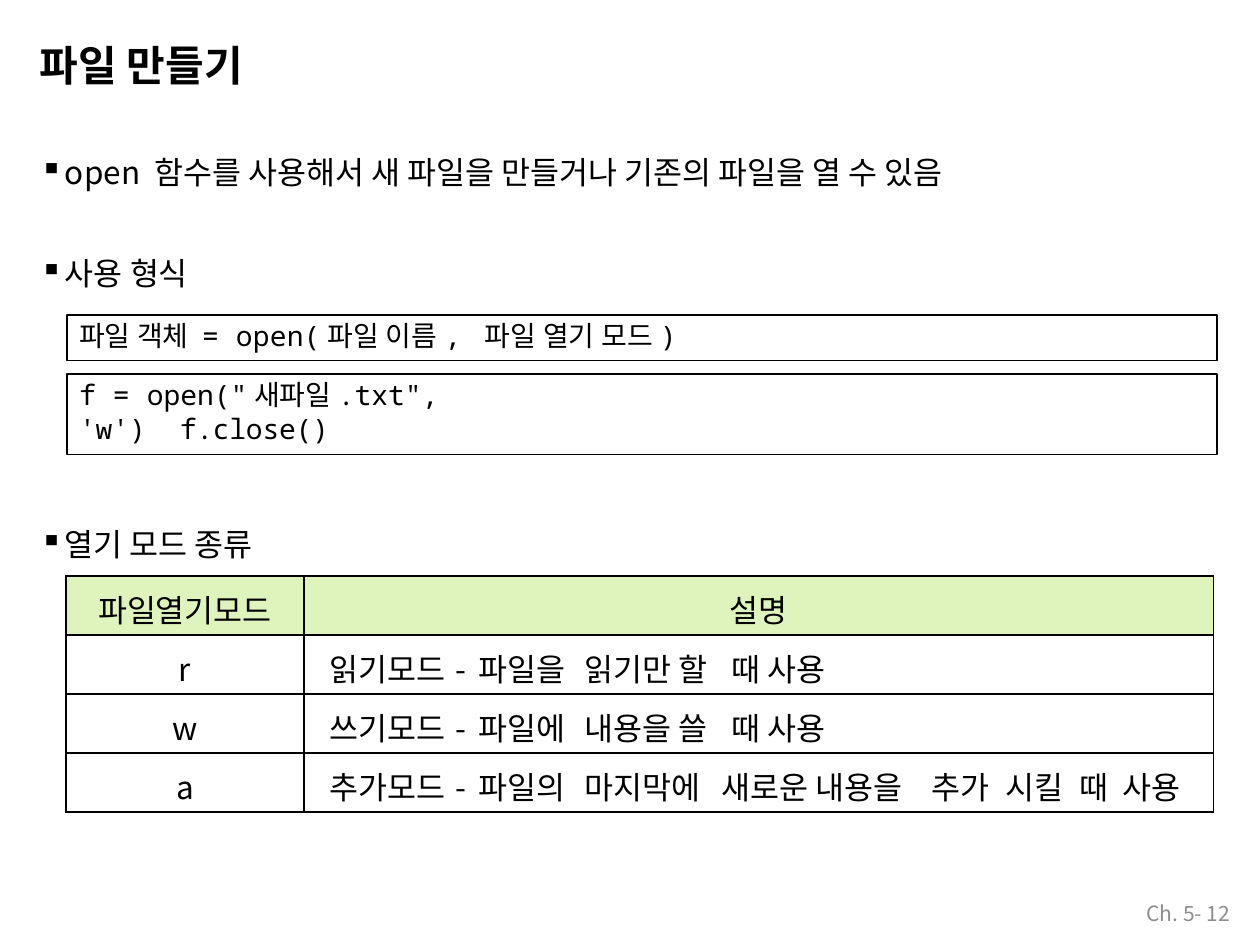
from dataclasses import dataclass

from lxml.etree import SubElement
from pptx import Presentation
from pptx.dml.color import RGBColor
from pptx.enum.shapes import MSO_SHAPE
from pptx.enum.text import MSO_ANCHOR, PP_ALIGN
from pptx.oxml.ns import qn
from pptx.util import Emu, Pt

EMU_PER_PX = 914400 / 126
SANS, MONO = "Noto Sans CJK KR", "Noto Sans Mono"
BLACK = RGBColor(0x00, 0x00, 0x00)
GRAY = RGBColor(0x8C, 0x8C, 0x8C)
WHITE = RGBColor(0xFF, 0xFF, 0xFF)
HEADER_GREEN = RGBColor(0xDF, 0xF4, 0xBD)


@dataclass(frozen=True)
class Box:
    left: int
    top: int
    width: int
    height: int


@dataclass(frozen=True)
class Run:
    text: str
    font: str = SANS
    spacing: float = 0


@dataclass(frozen=True)
class CodeLine:
    box: Box
    runs: list[Run]
    right_inset: int = 0


@dataclass(frozen=True)
class ModeRow:
    mode: str
    name: str
    words: list[str]


def px(length: int) -> Emu:
    return Emu(round(length * EMU_PER_PX))


def place(box: Box) -> tuple[Emu, Emu, Emu, Emu]:
    return px(box.left), px(box.top), px(box.width), px(box.height)


def write(frame, content: str | list[Run], *, size=18, color=BLACK, bold=False,
          align=PP_ALIGN.LEFT, before=0, indent=0, bullet="", new=False) -> None:
    """Write one paragraph; new adds it after those already in the frame."""
    paragraph = frame.add_paragraph() if new else frame.paragraphs[0]
    paragraph.alignment = align
    paragraph.space_before = Pt(before)
    properties = paragraph._p.get_or_add_pPr()
    properties.set("marL", str(px(indent)))
    properties.set("indent", str(-px(25) if bullet else 0))
    if bullet:
        SubElement(properties, qn("a:buChar")).set("char", bullet)
    for part in [Run(content)] if isinstance(content, str) else content:
        run = paragraph.add_run()
        run.text = part.text
        run.font.size, run.font.bold = Pt(size), bold
        run.font.name = part.font
        run.font.color.rgb = color
        run_properties = run.font._element
        SubElement(run_properties, qn("a:ea")).set("typeface", part.font)
        if part.spacing:
            run_properties.set("spc", str(round(part.spacing * 100)))


def set_insets(frame, top: int, right: int = 0) -> None:
    frame.margin_left = frame.margin_bottom = 0
    frame.margin_top, frame.margin_right = px(top), px(right)


def add_text_frame(slide, box: Box, top_inset: int = 1):
    frame = slide.shapes.add_textbox(*place(box)).text_frame
    frame.word_wrap = True
    set_insets(frame, top_inset)
    return frame


def add_code_line(slide, code: CodeLine) -> None:
    shape = slide.shapes.add_shape(MSO_SHAPE.RECTANGLE, *place(code.box))
    shape.shadow.inherit = False
    shape.fill.background()
    shape.line.color.rgb, shape.line.width = BLACK, Pt(0.6)
    frame = shape.text_frame
    frame.word_wrap = True
    frame.vertical_anchor = MSO_ANCHOR.TOP
    set_insets(frame, 4, code.right_inset)
    write(frame, code.runs, size=16, before=2.5, indent=12)


def format_cell(cell, fill: RGBColor, sides: str) -> None:
    """Fill a cell and rule the named sides: L, R, T, B."""
    set_insets(cell, 10)
    properties = cell._tc.get_or_add_tcPr()
    for side in "LRTB":
        border = SubElement(properties, qn(f"a:ln{side}"), w=str(Pt(1)))
        if side in sides:
            solid = SubElement(border, qn("a:solidFill"))
            SubElement(solid, qn("a:srgbClr"), val=str(BLACK))
        else:
            SubElement(border, qn("a:noFill"))
    cell.fill.solid()
    cell.fill.fore_color.rgb = fill


def add_mode_table(slide, box: Box, widths: list[int], rows: list[ModeRow]) -> None:
    row_count, column_count = len(rows) + 1, len(widths)
    table = slide.shapes.add_table(row_count, column_count, *place(box)).table
    for column, width in zip(table.columns, widths):
        column.width = px(width)
    for row in table.rows:
        row.height = px(box.height // row_count)

    # Header
    table.cell(0, 1).merge(table.cell(0, column_count - 1))
    for column in range(column_count):
        format_cell(table.cell(0, column), HEADER_GREEN, "LRTB")
    for column, heading in enumerate(["파일열기모드", "설명"]):
        write(table.cell(0, column).text_frame, heading,
              align=PP_ALIGN.CENTER, before=5.8)

    # One row for each mode
    aligns = [PP_ALIGN.CENTER, PP_ALIGN.RIGHT, PP_ALIGN.CENTER]
    for row_index, row in enumerate(rows, start=1):
        texts = [row.mode, row.name, "-", *row.words]
        for column in range(column_count):
            cell = table.cell(row_index, column)
            last = column == column_count - 1
            format_cell(cell, WHITE, "LRTB" if column < 2 else "RTB" if last else "TB")
            if column == 1:
                cell.margin_right = px(4)
            if column < len(texts):
                is_word = column >= len(aligns)
                # The long word of the last row starts closer to its column edge
                indent = {"때 사용": 11, "새로운 내용을": 1}.get(texts[column], 6)
                write(cell.text_frame, texts[column], before=5.8,
                      align=PP_ALIGN.LEFT if is_word else aligns[column],
                      indent=indent if is_word else 0)


CODE_LINES = [
    CodeLine(Box(67, 315, 1150, 46), [
        Run("파일 객체 ", spacing=0.1), Run("= open(", MONO, 0.1),
        Run("파일 이름", spacing=0.1), Run(", ", MONO, 0.1),
        Run("파일 열기 모드", spacing=0.1), Run(")", MONO, 0.1)]),
    CodeLine(Box(67, 374, 1150, 81), [
        Run("f = ", MONO, 0.1), Run('open("', MONO), Run("새파일"),
        Run(".txt\", 'w')", MONO), Run(" ", MONO, 9.7),
        Run("f.close()", MONO, -0.1)], right_inset=740),
]
COLUMN_WIDTHS = [238, 145, 24, 106, 142, 205, 74, 74, 43, 97]
MODE_ROWS = [
    ModeRow("r", "읽기모드", ["파일을", "읽기만 할", "때 사용"]),
    ModeRow("w", "쓰기모드", ["파일에", "내용을 쓸", "때 사용"]),
    ModeRow("a", "추가모드",
            ["파일의", "마지막에", "새로운 내용을", "추가", "시킬", "때", "사용"]),
]


def main() -> None:
    deck = Presentation()
    deck.slide_width, deck.slide_height = px(1260), px(945)
    slide = deck.slides.add_slide(deck.slide_layouts[6])

    # Title
    write(add_text_frame(slide, Box(39, 39, 228, 54)), "파일 만들기",
          size=24, bold=True, before=1, indent=1)

    # Bulleted points
    usage = add_text_frame(slide, Box(39, 152, 1000, 147))
    write(usage, "open 함수를 사용해서 새 파일을 만들거나 기존의 파일을 열 수 있음",
          before=1, indent=26, bullet="▪")
    write(usage, "사용 형식", before=36, indent=26, bullet="▪", new=True)
    write(add_text_frame(slide, Box(39, 524, 239, 42)), "열기 모드 종류",
          before=1, indent=26, bullet="▪")

    # Code
    for code in CODE_LINES:
        add_code_line(slide, code)

    # Table of modes
    add_mode_table(slide, Box(66, 576, sum(COLUMN_WIDTHS), 236),
                   COLUMN_WIDTHS, MODE_ROWS)

    # Page number
    page = add_text_frame(slide, Box(1109, 901, 121, 25), top_inset=0)
    page.vertical_anchor = MSO_ANCHOR.MIDDLE
    write(page, "Ch. 5- 12", size=12, color=GRAY, align=PP_ALIGN.RIGHT)

    deck.save("out.pptx")


if __name__ == "__main__":
    main()
